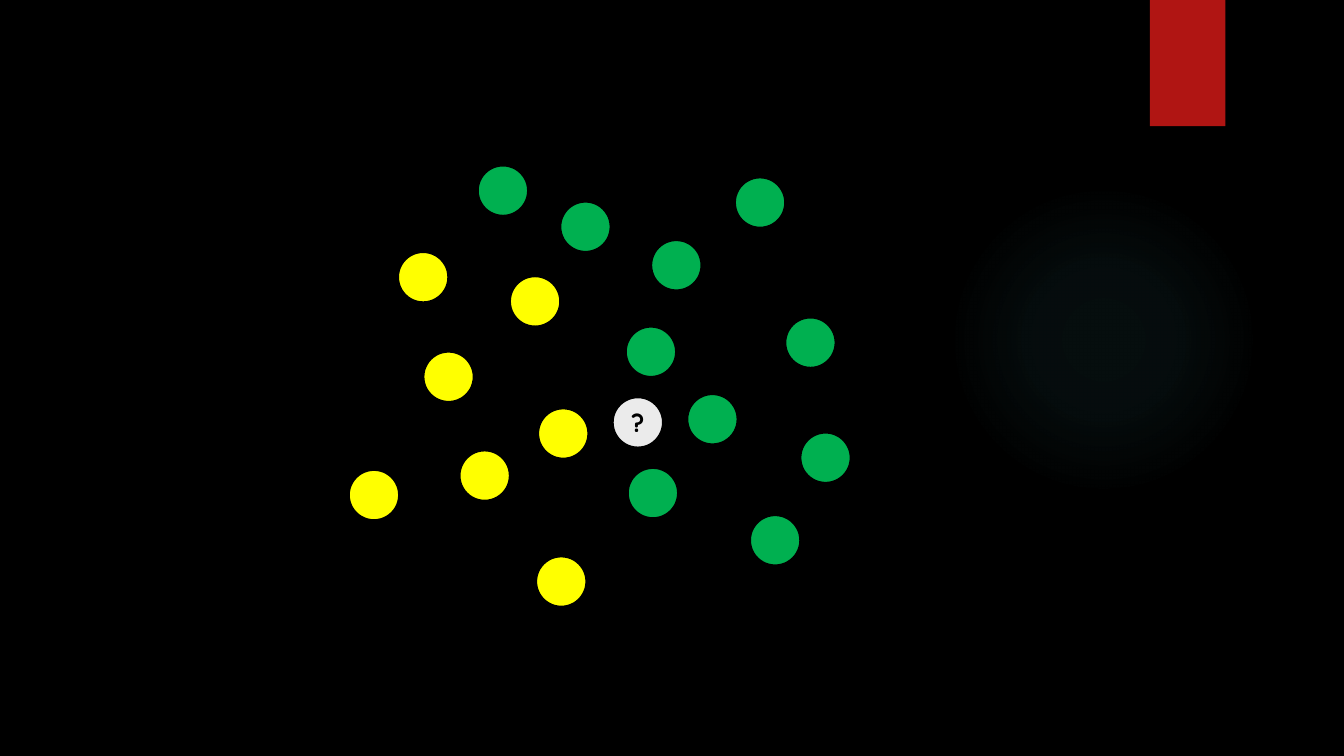
from dataclasses import dataclass

from lxml.etree import fromstring
from pptx import Presentation
from pptx.dml.color import RGBColor
from pptx.enum.shapes import MSO_SHAPE as Preset
from pptx.enum.text import MSO_ANCHOR as Anchor, PP_ALIGN as Align
from pptx.util import Cm, Pt


@dataclass(frozen=True)
class Theme:
    background: str = "000000"
    ribbon: str = "B01513"
    glow: str = "50B9C1"
    green: str = "00B050"
    yellow: str = "FFFF00"
    unknown: str = "EBEBEB"
    ink: str = "000000"
    font: str = "Quicksand"
    label_size: float = 18
    outline: float = 1.5


THEME = Theme()
DOT_SIZE = 1.27
GLOW_STOPS = [(0, 7), (36, 6), (69, 0)]
GREEN_DOTS = [
    (12.04, 4.17), (14.12, 5.08), (15.77, 8.23), (17.32, 9.93), (18.52, 4.47),
    (16.41, 6.05), (19.79, 8), (20.17, 10.9), (18.9, 12.98), (15.82, 11.79),
]
YELLOW_DOTS = [
    (12.85, 6.96), (10.03, 6.35), (10.67, 8.86), (8.79, 11.84),
    (11.58, 11.35), (13.51, 14.02), (13.56, 10.29),
]
UNKNOWN_DOT = (15.44, 10.01)


def add_filled(slide, preset, left, top, width, height, color):
    shape = slide.shapes.add_shape(preset, Cm(left), Cm(top), Cm(width), Cm(height))
    shape.shadow.inherit = False
    shape.fill.solid()
    shape.fill.fore_color.rgb = RGBColor.from_string(color)
    shape.line.fill.background()
    return shape


def add_glow(slide, left, top, size):
    shape = add_filled(slide, Preset.OVAL, left, top, size, size, THEME.glow)
    stops = "".join(
        f'<a:gs pos="{position * 1000}"><a:srgbClr val="{THEME.glow}">'
        f'<a:alpha val="{alpha * 1000}"/></a:srgbClr></a:gs>'
        for position, alpha in GLOW_STOPS
    )
    gradient = fromstring(
        '<a:gradFill xmlns:a="http://schemas.openxmlformats.org/drawingml/2006/main">'
        f'<a:gsLst>{stops}</a:gsLst><a:path path="circle">'
        '<a:fillToRect l="50000" t="50000" r="50000" b="50000"/></a:path></a:gradFill>'
    )
    properties = shape.element.spPr
    solid = properties.find("{*}solidFill")
    properties.replace(solid, gradient)


def add_dot(slide, left, top, color):
    shape = add_filled(slide, Preset.OVAL, left, top, DOT_SIZE, DOT_SIZE, color)
    shape.line.color.rgb = RGBColor.from_string(THEME.ink)
    shape.line.width = Pt(THEME.outline)
    return shape


def add_label(shape, text):
    frame = shape.text_frame
    frame.vertical_anchor = Anchor.MIDDLE
    paragraph = frame.paragraphs[0]
    paragraph.alignment = Align.CENTER
    run = paragraph.add_run()
    run.text = text
    run.font.name = THEME.font
    run.font.size = Pt(THEME.label_size)
    run.font.bold = True
    run.font.color.rgb = RGBColor.from_string(THEME.ink)


def main():
    presentation = Presentation()
    presentation.slide_width = Cm(33.87)
    presentation.slide_height = Cm(19.05)
    slide = presentation.slides.add_slide(presentation.slide_layouts[6])
    slide.background.fill.solid()
    slide.background.fill.fore_color.rgb = RGBColor.from_string(THEME.background)

    add_glow(slide, 23.9, 4.65, 7.82)
    add_filled(slide, Preset.RECTANGLE, 28.98, 0, 1.9, 3.18, THEME.ribbon)
    for color, dots in ((THEME.green, GREEN_DOTS), (THEME.yellow, YELLOW_DOTS)):
        for left, top in dots:
            add_dot(slide, left, top, color)
    add_label(add_dot(slide, *UNKNOWN_DOT, THEME.unknown), "?")

    presentation.save("out.pptx")


if __name__ == "__main__":
    main()
